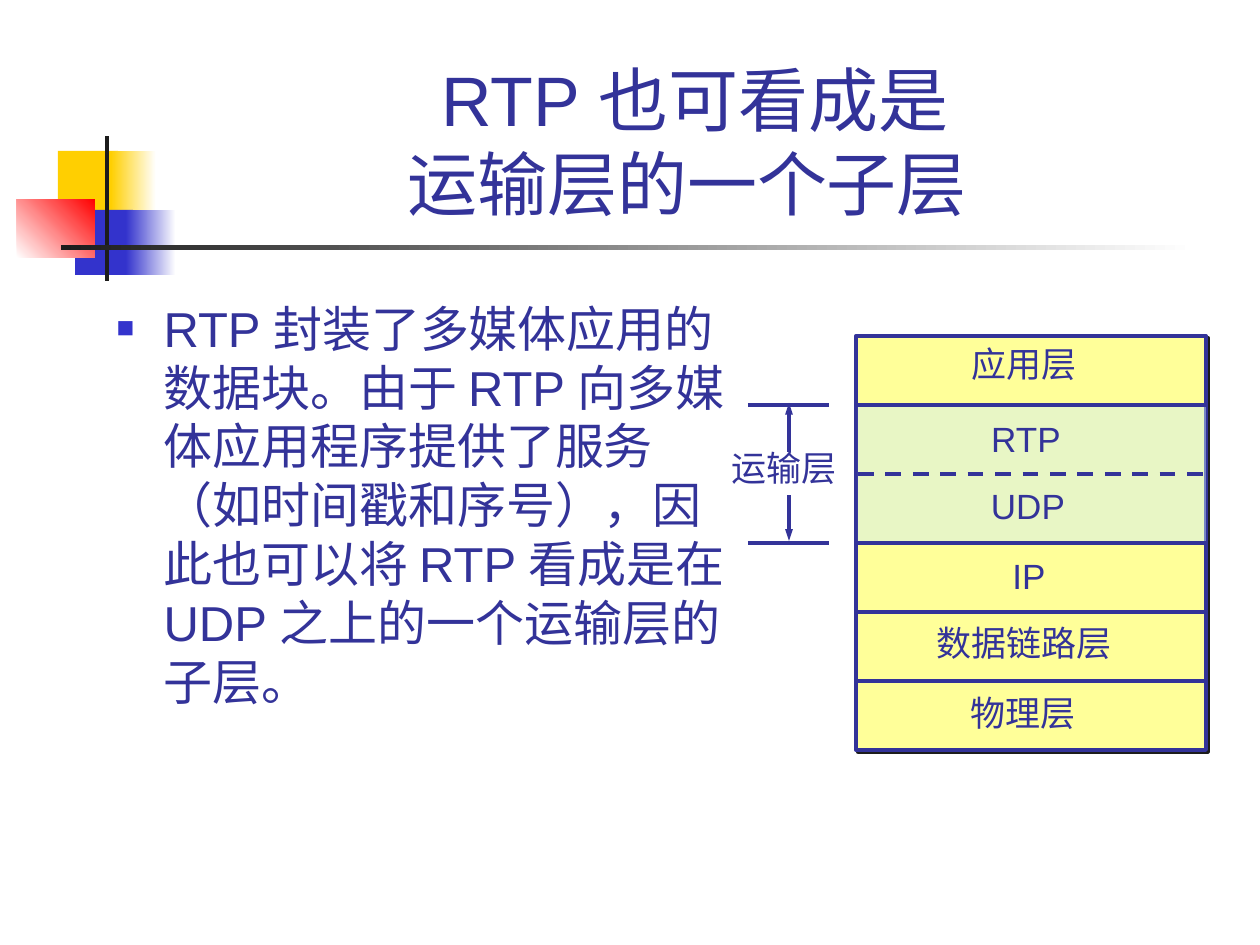
from typing import NamedTuple

from lxml.etree import SubElement
from pptx import Presentation
from pptx.dml.color import RGBColor
from pptx.enum.dml import MSO_LINE
from pptx.enum.shapes import MSO_CONNECTOR, MSO_SHAPE
from pptx.enum.text import MSO_ANCHOR, MSO_AUTO_SIZE, PP_ALIGN
from pptx.oxml.ns import qn
from pptx.util import Emu, Pt

SCALE = 914400 / 126  # EMU in one px
COLORS = {
    "ink": "333399", "dark": "1C1C1C", "white": "FFFFFF", "gold": "FFCF01",
    "blue": "3333CC", "red": "FF0000", "cream": "FFFF99", "sky": "CCECFF",
}


class Block(NamedTuple):
    left: int
    top: int
    width: int
    height: int
    fill: str
    fade: str = ""  # second colour of a gradient
    angle: int = 0


class Label(NamedTuple):
    text: str
    left: int
    top: int
    width: int


class Rule(NamedTuple):
    x1: int
    y1: int
    x2: int
    y2: int


def px(num: int) -> Emu:
    return Emu(round(num * SCALE))


def rgb(name: str) -> RGBColor:
    return RGBColor.from_string(COLORS[name])


def add(parent, tag: str, **attrs: str):
    return SubElement(parent, qn(tag), attrs)


def apply(target, values: dict) -> None:
    for key, value in values.items():
        setattr(target, key, value)


def place(shape, left: int, top: int, width: int, height: int) -> None:
    apply(shape, {"left": px(left), "top": px(top),
                  "width": px(width), "height": px(height)})


def style(para, size: int) -> None:
    for run in para.runs:
        apply(run.font, {"size": Pt(size), "name": "Arial"})
        run.font.color.rgb = rgb("ink")


def draw_block(shapes, block: Block):
    box = shapes.add_shape(MSO_SHAPE.RECTANGLE, *map(px, block[:4]))
    box.shadow.inherit = False
    box.line.fill.background()
    if block.fade:
        box.fill.gradient()
        box.fill.gradient_angle = block.angle
        for stop, name in zip(box.fill.gradient_stops, (block.fill, block.fade)):
            stop.color.rgb = rgb(name)
    else:
        box.fill.solid()
        box.fill.fore_color.rgb = rgb(block.fill)
    return box


def draw_rule(shapes, rule: Rule):
    line = shapes.add_connector(MSO_CONNECTOR.STRAIGHT, *map(px, rule))
    line.line.color.rgb = rgb("ink")
    line.line.width = Pt(2.25)
    add(line._element.spPr, "a:effectLst")
    return line


def write(shape, text: str) -> None:
    frame = shape.text_frame
    apply(frame, {"word_wrap": False, "vertical_anchor": MSO_ANCHOR.TOP})
    para = frame.paragraphs[0]
    para.text = text
    para.alignment = PP_ALIGN.CENTER
    style(para, 20)


def draw_label(shapes, label: Label) -> None:
    box = shapes.add_textbox(px(label.left), px(label.top), px(label.width), px(55))
    write(box, label.text)


# Corner squares and the crossing bars
CORNER = [
    Block(58, 151, 60, 66, "gold"),
    Block(111, 151, 45, 66, "gold", "white"),
    Block(75, 210, 58, 65, "blue"),
    Block(126, 210, 50, 65, "blue", "white"),
    Block(17, 199, 78, 59, "white", "red", 45),
    Block(105, 136, 4, 145, "dark"),
    Block(61, 245, 1134, 5, "dark", "white"),
]
# Each box is a little wider than its text, so that it stays on one line
LABELS = [
    Label("应用层", 954, 336, 140),
    Label("RTP", 971, 411, 110),
    Label("UDP", 973, 478, 110),
    Label("IP", 994, 548, 70),
    Label("数据链路层", 914, 615, 220),
    Label("物理层", 953, 685, 140),
]
LEFT, RIGHT, TOP, ROW = 856, 1206, 336, 69


def draw_title(shape) -> None:
    place(shape, 158, 29, 1074, 202)
    frame = shape.text_frame
    apply(frame, {"auto_size": MSO_AUTO_SIZE.NONE,
                  "vertical_anchor": MSO_ANCHOR.BOTTOM})
    para = frame.paragraphs[0]
    para.text = "RTP 也可看成是\v运输层的一个子层 "
    para.alignment = PP_ALIGN.CENTER
    style(para, 40)


def draw_body(shape) -> None:
    place(shape, 104, 292, 638, 508)
    shape.text_frame.auto_size = MSO_AUTO_SIZE.NONE
    para = shape.text_frame.paragraphs[0]
    para.text = ("RTP 封装了多媒体应用的数据块。由于 RTP 向多媒体应用程序提供了服务"
                 "（如时间戳和序号），因此也可以将 RTP 看成是在 UDP 之上的一个运输层的子层。")
    props = para._p.get_or_add_pPr()
    props.set("marL", str(px(47)))
    props.set("indent", str(px(-47)))
    add(add(props, "a:buClr"), "a:srgbClr", val=COLORS["blue"])
    add(props, "a:buSzPct", val="60000")
    add(props, "a:buFont", typeface="Arial")
    add(props, "a:buChar", char="■")
    para.space_before = Pt(0)
    style(para, 28)


def draw_stack(shapes) -> None:
    # Outer box with its hard shadow
    stack = draw_block(shapes, Block(LEFT, TOP, RIGHT - LEFT, 6 * ROW, "cream"))
    stack.line.color.rgb = rgb("ink")
    stack.line.width = Pt(2.25)
    effects = stack._element.spPr.find(qn("a:effectLst"))
    shade = add(effects, "a:outerShdw", dist=str(Pt(1.4)), dir="2700000",
                algn="ctr", rotWithShape="0")
    add(shade, "a:srgbClr", val=COLORS["dark"])

    # Tinted transport band
    band = draw_block(shapes, Block(LEFT + 2, TOP + ROW, RIGHT - LEFT - 2,
                                    2 * ROW, "sky"))
    tint = band._element.spPr.find(qn("a:solidFill"))[0]
    add(tint, "a:alpha", val="44000")

    # Row dividers; two of them meet the middle of a box side
    joins = {2: band, 3: stack}
    for num in range(1, 6):
        y = TOP + num * ROW
        line = draw_rule(shapes, Rule(LEFT, y, RIGHT, y))
        if num in joins:
            line.begin_connect(joins[num], 1)
            line.end_connect(joins[num], 3)
        if num == 2:
            line.line.dash_style = MSO_LINE.DASH
    for label in LABELS:
        draw_label(shapes, label)


def draw_span(shapes) -> None:
    # Double arrow between two caps, with its name on top
    arrow = draw_rule(shapes, Rule(789, 403, 789, 541))
    ends = arrow.line._get_or_add_ln()
    for tag in ("a:headEnd", "a:tailEnd"):
        add(ends, tag, type="triangle", w="sm", len="med")
    for num in (1, 3):
        y = TOP + num * ROW
        draw_rule(shapes, Rule(748, y, 829, y))
    name = draw_block(shapes, Block(718, 452, 132, 43, "white"))
    write(name, "运输层")
    name.text_frame.paragraphs[0].line_spacing = 0.7


def main() -> None:
    deck = Presentation()
    apply(deck, {"slide_width": px(1260), "slide_height": px(945)})
    slide = deck.slides.add_slide(deck.slide_layouts[1])
    shapes = slide.shapes
    for block in CORNER:
        draw_block(shapes, block)
    draw_title(shapes.title)
    draw_body(slide.placeholders[1])
    draw_span(shapes)
    draw_stack(shapes)
    deck.save("out.pptx")


if __name__ == "__main__":
    main()
